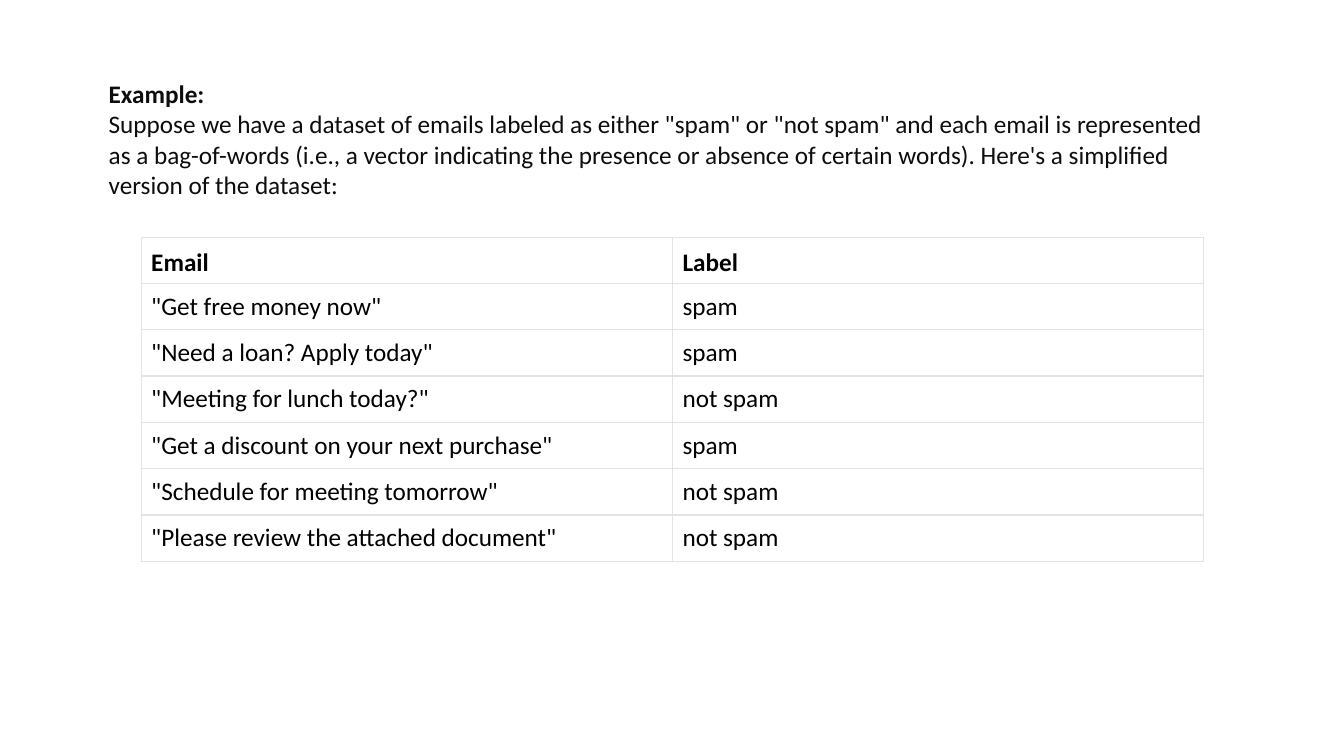
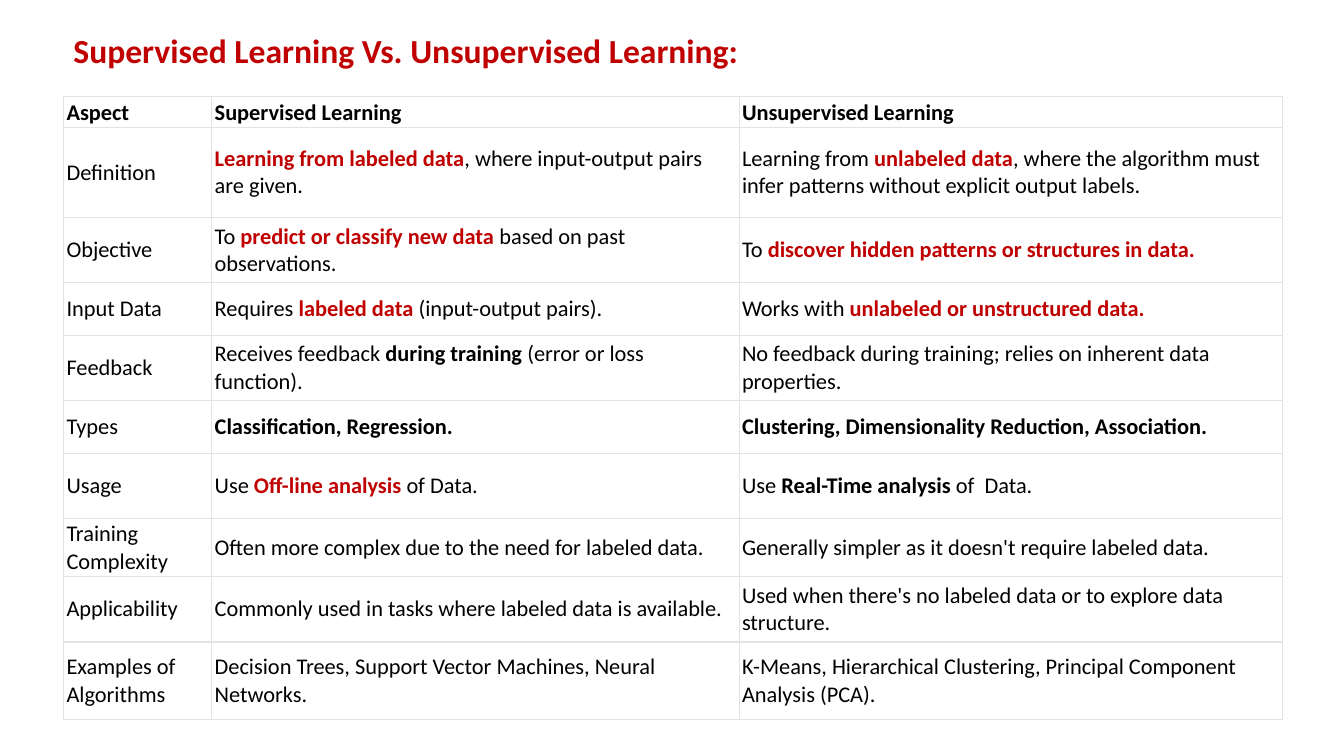
from lxml.etree import SubElement
from pptx import Presentation
from pptx.dml.color import RGBColor
from pptx.enum.text import MSO_ANCHOR as Anchor, MSO_AUTO_SIZE as AutoSize
from pptx.oxml.ns import qn
from pptx.util import Emu, Pt

PX = 9144  # EMU in one px, 100 px to the inch
BLACK = RGBColor(0x00, 0x00, 0x00)
INK = RGBColor(0x0D, 0x0D, 0x0D)
RED = RGBColor(0xC0, 0x00, 0x00)
WHITE = RGBColor(0xFF, 0xFF, 0xFF)
RULE = RGBColor(0xE3, 0xE3, 0xE3)
FONT = "Calibri"
OUTER, INNER = 0.6, 1  # border widths in points

# A text is a string, or a list of strings and (text, format) pairs.
BOLD = {"bold": True}
KEY = {"bold": True, "color": RED}

EXAMPLE = [
    [("Example:", BOLD)],
    'Suppose we have a dataset of emails labeled as either "spam" or "not spam" '
    "and each email is represented as a bag-of-words (i.e., a vector indicating "
    "the presence or absence of certain words). Here's a simplified version of "
    "the dataset:",
]
EMAILS = [
    ("Email", "Label"),
    ('"Get free money now"', "spam"),
    ('"Need a loan? Apply today"', "spam"),
    ('"Meeting for lunch today?"', "not spam"),
    ('"Get a discount on your next purchase"', "spam"),
    ('"Schedule for meeting tomorrow"', "not spam"),
    ('"Please review the attached document"', "not spam"),
]

COMPARISON_TITLE = [[("Supervised Learning Vs. Unsupervised Learning:", KEY)]]
COMPARISON = [
    ("Aspect", "Supervised Learning", "Unsupervised Learning"),
    ("Definition",
     [("Learning from labeled data", KEY), ", where input-output pairs are given."],
     ["Learning from ", ("unlabeled data", KEY),
      ", where the algorithm must infer patterns without explicit output labels."]),
    ("Objective",
     ["To ", ("predict or classify new data ", KEY), "based on past observations."],
     ["To ", ("discover hidden patterns or structures in data.", KEY)]),
    ("Input Data",
     ["Requires ", ("labeled data ", KEY), "(input-output pairs)."],
     ["Works with ", ("unlabeled or unstructured data.", KEY)]),
    ("Feedback",
     ["Receives feedback ", ("during training ", BOLD), "(error or loss function)."],
     "No feedback during training; relies on inherent data properties."),
    ("Types",
     [("Classification, Regression.", BOLD)],
     [("Clustering, Dimensionality Reduction, Association.", BOLD)]),
    ("Usage",
     ["Use ", ("Off-line analysis ", KEY), "of Data."],
     ["Use ", ("Real-Time analysis ", BOLD), "of  Data."]),
    ("Training Complexity",
     "Often more complex due to the need for labeled data.",
     "Generally simpler as it doesn't require labeled data."),
    ("Applicability",
     "Commonly used in tasks where labeled data is available.",
     "Used when there's no labeled data or to explore data structure."),
    ("Examples of Algorithms",
     "Decision Trees, Support Vector Machines, Neural Networks.",
     "K-Means, Hierarchical Clustering, Principal Component Analysis (PCA)."),
]
COMPARISON_HEIGHTS = [28, 89, 65, 52, 65, 52, 65, 52, 65, 77]
TIGHT = {"margin_left": 3, "margin_top": 2, "margin_right": 3, "margin_bottom": 2}


def px(length):
    return Emu(length * PX)


def write(paragraph, text, **base):
    """Fill a paragraph with runs, each one the base format plus its own."""
    for part in [text] if isinstance(text, str) else text:
        words, own = (part, {}) if isinstance(part, str) else part
        run = paragraph.add_run()
        run.text = words
        values = {"name": FONT, "bold": False, **base, **own}
        run.font.color.rgb = values.pop("color")
        for name, value in values.items():
            setattr(run.font, name, value)


def add_text(slide, box, paragraphs, **base):
    frame = slide.shapes.add_textbox(*map(px, box)).text_frame
    frame.word_wrap = True
    frame.auto_size = AutoSize.SHAPE_TO_FIT_TEXT
    for index, text in enumerate(paragraphs):
        paragraph = frame.add_paragraph() if index else frame.paragraphs[0]
        write(paragraph, text, **base)


def set_borders(cell, top, bottom):
    properties = cell._tc.get_or_add_tcPr()
    for side, width in {"L": OUTER, "R": OUTER, "T": top, "B": bottom}.items():
        line = SubElement(properties, qn(f"a:ln{side}"), w=str(Pt(width)))
        fill = SubElement(line, qn("a:solidFill"))
        SubElement(fill, qn("a:srgbClr"), val=str(RULE))


def add_grid(slide, left, top, widths, heights, rows, size, margins):
    """Add a ruled white table whose first row is a bold header."""
    table = slide.shapes.add_table(
        len(rows), len(widths), px(left), px(top),
        px(sum(widths)), px(sum(heights))).table
    table.first_row = table.horz_banding = False
    for column, width in zip(table.columns, widths):
        column.width = px(width)
    for row, height in zip(table.rows, heights):
        row.height = px(height)
    last = len(rows) - 1
    for r, texts in enumerate(rows):
        for c, text in enumerate(texts):
            cell = table.cell(r, c)
            set_borders(cell, INNER if r else OUTER, INNER if r < last else OUTER)
            cell.fill.solid()
            cell.fill.fore_color.rgb = WHITE
            cell.vertical_anchor = Anchor.MIDDLE if r else Anchor.BOTTOM
            for name, margin in margins.items():
                setattr(cell, name, px(margin))
            write(cell.text_frame.paragraphs[0], text,
                  size=size, color=BLACK, bold=r == 0)


def main():
    presentation = Presentation()
    presentation.slide_width, presentation.slide_height = px(1333), px(750)
    blank = presentation.slide_layouts[6]

    slide = presentation.slides.add_slide(blank)
    add_grid(slide, 140, 235, [527] * 2, [46] * len(EMAILS), EMAILS, Pt(18), {})
    add_text(slide, (98, 73, 1117, 131), EXAMPLE, size=Pt(18), color=INK)

    slide = presentation.slides.add_slide(blank)
    add_text(slide, (63, 25, 760, 50), COMPARISON_TITLE, size=Pt(24), color=RED)
    add_grid(slide, 63, 96, [147, 523, 539], COMPARISON_HEIGHTS, COMPARISON,
             Pt(16), TIGHT)

    presentation.save("out.pptx")


if __name__ == "__main__":
    main()
